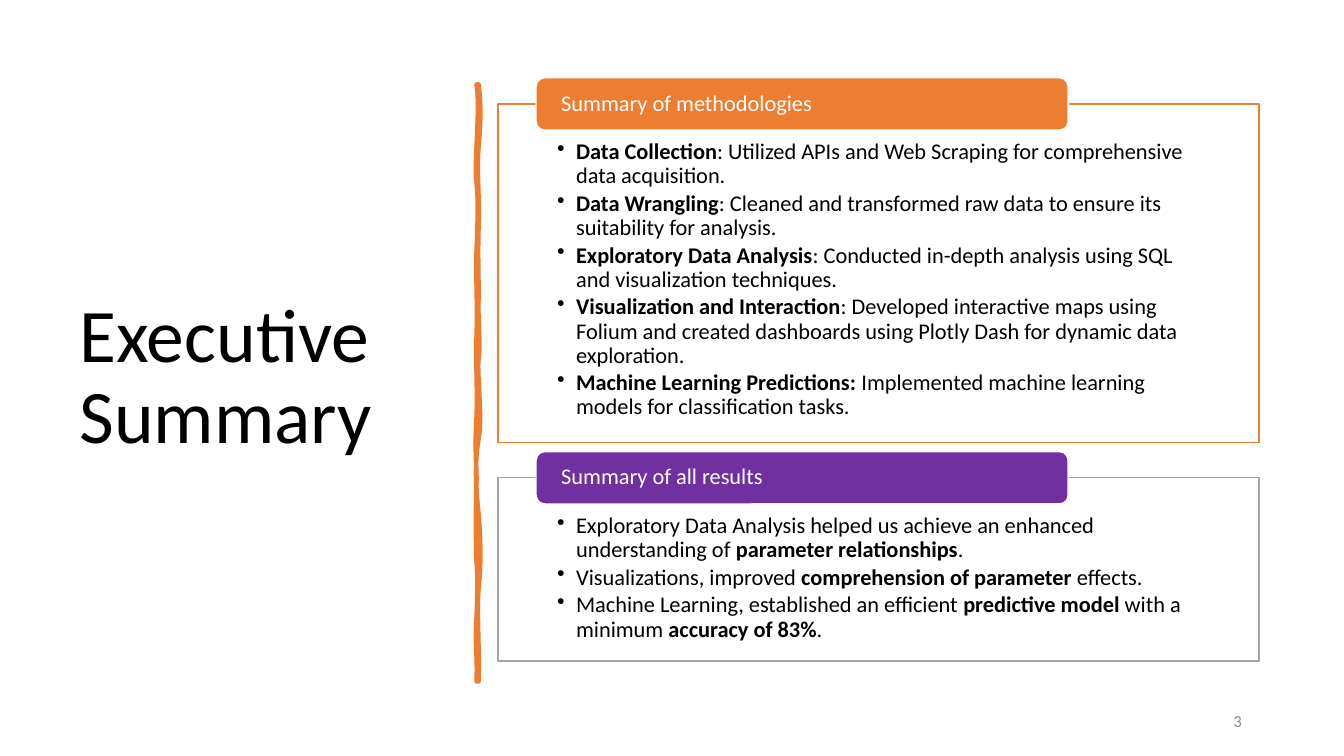
"""Build the executive summary slide with its two headed panels."""
from dataclasses import dataclass

from lxml import etree
from pptx import Presentation
from pptx.dml.color import RGBColor
from pptx.enum import shapes, text
from pptx.oxml import ns
from pptx.util import Cm, Pt

BLACK = RGBColor(0x00, 0x00, 0x00)
WHITE = RGBColor(0xFF, 0xFF, 0xFF)
ORANGE = RGBColor(0xED, 0x7D, 0x31)
PURPLE = RGBColor(0x70, 0x30, 0xA0)
SILVER = RGBColor(0xA5, 0xA5, 0xA5)
GRAY = RGBColor(0x8C, 0x8C, 0x8C)

FONT = "Calibri"
BOLD_MARK = "**"
PANEL_LEFT, PANEL_WIDTH = 12.55, 19.18
HEADER_LEFT, HEADER_WIDTH, HEADER_HEIGHT = 13.51, 13.41, 1.32
BULLET_INDENT = 0.48

BRUSH_TOP, BRUSH_RIGHT, BRUSH_LEFT = 2.13, 12.06, 12.01
CURVE_STEPS = 8


@dataclass(frozen=True)
class Panel:
    """A framed bullet list with a coloured header on its top edge."""
    header: str
    color: RGBColor
    border: RGBColor
    top: float
    height: float
    bullets: tuple[str, ...]


@dataclass(frozen=True)
class Curve:
    """One Bezier piece of a brush edge: two control points and the end height."""
    x1: float
    y1: float
    x2: float
    y2: float
    end: float


PANELS = (
    Panel("Summary of methodologies", ORANGE, ORANGE, 2.62, 8.53, (
        "**Data Collection**: Utilized APIs and Web Scraping for comprehensive data acquisition.",
        "**Data Wrangling**: Cleaned and transformed raw data to ensure its suitability for analysis.",
        "**Exploratory Data Analysis**: Conducted in-depth analysis using SQL and visualization techniques.",
        "**Visualization and Interaction**: Developed interactive maps using Folium and created "
        "dashboards using Plotly Dash for dynamic data exploration.",
        "**Machine Learning Predictions:** Implemented machine learning models for classification tasks.",
    )),
    Panel("Summary of all results", PURPLE, SILVER, 12.04, 4.62, (
        "Exploratory Data Analysis helped us achieve an enhanced understanding of "
        "**parameter relationships**.",
        "Visualizations, improved **comprehension of parameter** effects.",
        "Machine Learning, established an efficient **predictive model** with a minimum "
        "**accuracy of 83%**.",
    )),
)

RIGHT_EDGE = (
    Curve(12.12, 2.59, 12.12, 3.02, 3.71),
    Curve(12.01, 4.39, 12.09, 4.95, 5.74),
    Curve(12.04, 6.53, 12.06, 6.65, 7.47),
    Curve(12.04, 8.26, 12.12, 8.69, 9.04),
    Curve(12.01, 9.4, 12.17, 10.52, 11.07),
    Curve(11.96, 11.61, 11.99, 12.29, 12.95),
    Curve(12.12, 13.61, 12.12, 14.33, 14.83),
    Curve(12.01, 15.32, 12.09, 16.51, 17.17),
)
LEFT_EDGE = (
    Curve(12.04, 16.41, 11.96, 16.36, 15.57),
    Curve(12.04, 14.81, 12.04, 14.48, 14.15),
    Curve(11.99, 13.82, 11.99, 12.57, 12.12),
    Curve(12.01, 11.66, 11.96, 11.3, 10.54),
    Curve(12.04, 9.8, 11.99, 9.47, 8.51),
    Curve(12.04, 7.57, 11.99, 7.14, 6.35),
    Curve(12.04, 5.54, 12.06, 5.08, 4.6),
    Curve(11.94, 4.14, 12.12, 2.64, 2.13),
)


def write_text(shape, *lines: str, size: float, color: RGBColor = BLACK,
               align=text.PP_ALIGN.LEFT, anchor=text.MSO_ANCHOR.MIDDLE,
               insets=(0.25, 0.13, 0.25, 0.13), spacing: float = 0.9,
               after: float = 0, bullet: bool = False) -> None:
    """Write one paragraph per line, with marked parts in bold."""
    frame = shape.text_frame
    frame.word_wrap = True
    frame.vertical_anchor = anchor
    frame.margin_left, frame.margin_top, frame.margin_right, frame.margin_bottom = map(Cm, insets)
    for index, line in enumerate(lines):
        paragraph = frame.add_paragraph() if index else frame.paragraphs[0]
        paragraph.alignment = align
        paragraph.line_spacing = spacing
        paragraph.space_after = Pt(after)
        if bullet:
            paragraph.level = 1
            properties = paragraph._p.get_or_add_pPr()
            properties.set("marL", str(Cm(BULLET_INDENT)))
            properties.set("indent", str(-Cm(BULLET_INDENT)))
            etree.SubElement(properties, ns.qn("a:buChar"), char="•")
        for part, content in enumerate(line.split(BOLD_MARK)):
            if content:
                run = paragraph.add_run()
                run.text = content
                run.font.name = FONT
                run.font.size = Pt(size)
                run.font.bold = part % 2 == 1
                run.font.color.rgb = color


def paint(shape, fill: RGBColor, line: RGBColor, width: float = 1) -> None:
    """Give a shape a flat fill and outline."""
    shape.shadow.inherit = False
    shape.fill.solid()
    shape.fill.fore_color.rgb = fill
    shape.line.color.rgb = line
    shape.line.width = Pt(width)


def add_text_box(slide, left: float, top: float, width: float, height: float):
    """Add a text box measured in centimetres."""
    return slide.shapes.add_textbox(Cm(left), Cm(top), Cm(width), Cm(height))


def add_panel(slide, panel: Panel) -> None:
    """Draw a framed list and centre its header on the top edge."""
    body = slide.shapes.add_shape(shapes.MSO_SHAPE.RECTANGLE, Cm(PANEL_LEFT), Cm(panel.top),
                                  Cm(PANEL_WIDTH), Cm(panel.height))
    paint(body, WHITE, panel.border)
    write_text(body, *panel.bullets, size=16, anchor=text.MSO_ANCHOR.TOP,
               insets=(1.49, 0.92, 1.49, 0.3), after=2.4, bullet=True)
    header = slide.shapes.add_shape(shapes.MSO_SHAPE.ROUNDED_RECTANGLE, Cm(HEADER_LEFT),
                                    Cm(panel.top - HEADER_HEIGHT / 2),
                                    Cm(HEADER_WIDTH), Cm(HEADER_HEIGHT))
    paint(header, panel.color, WHITE)
    write_text(header, panel.header, size=16, color=WHITE, insets=(0.57, 0, 0.57, 0))


def trace_edge(x: float, start: float, curves: tuple[Curve, ...]) -> list[tuple[int, int]]:
    """Sample the points along one brush edge."""
    points = []
    for curve in curves:
        for step in range(1, CURVE_STEPS + 1):
            t = step / CURVE_STEPS
            weights = ((1 - t) ** 3, 3 * t * (1 - t) ** 2, 3 * t ** 2 * (1 - t), t ** 3)
            points.append(tuple(
                Cm(sum(weight * value for weight, value in zip(weights, values)))
                for values in ((x, curve.x1, curve.x2, x),
                               (start, curve.y1, curve.y2, curve.end))))
        start = curve.end
    return points


def add_brush_stroke(slide) -> None:
    """Draw the wavy vertical divider."""
    bottom = RIGHT_EDGE[-1].end
    builder = slide.shapes.build_freeform(Cm(BRUSH_RIGHT), Cm(BRUSH_TOP))
    builder.add_line_segments(
        trace_edge(BRUSH_RIGHT, BRUSH_TOP, RIGHT_EDGE)
        + [(Cm(BRUSH_LEFT), Cm(bottom))]
        + trace_edge(BRUSH_LEFT, bottom, LEFT_EDGE), close=True)
    paint(builder.convert_to_shape(), ORANGE, ORANGE, 3.25)


def main() -> None:
    """Assemble and save the slide."""
    presentation = Presentation()
    presentation.slide_width, presentation.slide_height = Cm(33.87), Cm(19.05)
    slide = presentation.slides.add_slide(presentation.slide_layouts[6])
    write_text(add_text_box(slide, 1.75, 1.78, 9.5, 15.52), "Executive Summary", size=54)
    add_brush_stroke(slide)
    write_text(add_text_box(slide, 23.93, 17.65, 7.62, 1.02), "3", size=12, color=GRAY,
               align=text.PP_ALIGN.RIGHT, spacing=1.0)
    for panel in PANELS:
        add_panel(slide, panel)
    presentation.save("out.pptx")


if __name__ == "__main__":
    main()
